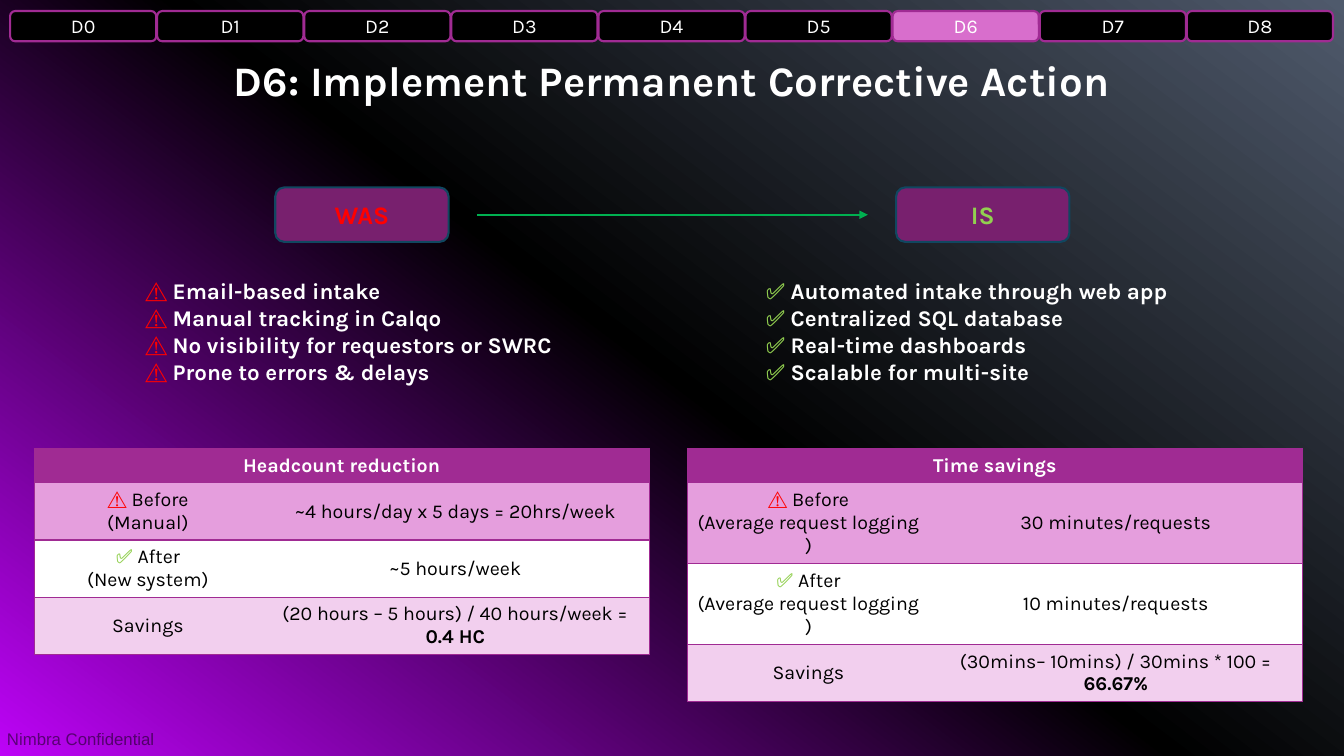
from copy import deepcopy

from lxml.etree import SubElement
from pptx import Presentation
from pptx.dml.color import RGBColor
from pptx.enum.shapes import MSO_CONNECTOR as Connector, MSO_SHAPE as Preset
from pptx.enum.text import MSO_ANCHOR as Anchor, PP_ALIGN as Align
from pptx.oxml.ns import qn
from pptx.util import Pt

COLORS = {
    "white": "FFFFFF", "black": "000000", "violet": "BD03F7", "slate": "4F5A6C",
    "purple": "A02B93", "orchid": "D86ECC", "plum": "78206E", "navy": "104760",
    "red": "FF0000", "lime": "92D050", "green": "00B050",
    "pink": "E59EDD", "blush": "F2CFEE",
}
WARNING = ("⚠️ ", "red", False)
CHECK = ("✅ ", "lime", False)
BREAK = ("\n", "black", False)


def color(name):
    return RGBColor.from_string(COLORS[name])


def plain(text):
    return (text, "black", False)


def write_runs(paragraph, runs, size, align=Align.LEFT, font="Karla"):
    paragraph.alignment = align
    for text, color_name, bold in runs:
        if text == "\n":
            line_break = SubElement(paragraph._p, qn("a:br"))
            SubElement(line_break, qn("a:rPr"), sz=str(size * 100))
            continue
        run = paragraph.add_run()
        run.text = text
        run.font.name = font
        run.font.size = Pt(size)
        run.font.bold = bold
        run.font.color.rgb = color(color_name)


def paint_background(slide):
    fill = slide.background.fill
    fill.gradient()
    fill.gradient_angle = 53
    stop_list = slide.element.find(".//" + qn("a:gsLst"))
    stop_list.append(deepcopy(stop_list[-1]))
    stops = zip(fill.gradient_stops, ("violet", "black", "slate"), (0, 0.5, 1))
    for stop, color_name, position in stops:
        stop.color.rgb = color(color_name)
        stop.position = position


def add_text_box(slide, left, top, width, height, margins=(7.2, 3.6)):
    text_frame = slide.shapes.add_textbox(Pt(left), Pt(top), Pt(width), Pt(height)).text_frame
    text_frame.word_wrap = True
    text_frame.margin_left = text_frame.margin_right = Pt(margins[0])
    text_frame.margin_top = text_frame.margin_bottom = Pt(margins[1])
    return text_frame


def add_title(slide, text):
    text_frame = add_text_box(slide, 0, 40.3, 960, 38.9)
    text_frame.vertical_anchor = Anchor.BOTTOM
    paragraph = text_frame.paragraphs[0]
    paragraph.line_spacing = 0.9
    write_runs(paragraph, [(text, "white", True)], 30, Align.CENTER)


def add_footer(slide, text):
    paragraph = add_text_box(slide, 5, 520.6, 106, 14.4, (0, 0)).paragraphs[0]
    write_runs(paragraph, [plain(text)], 12, font="Arial")
    footer_color = paragraph._p.find(".//" + qn("a:srgbClr"))
    SubElement(footer_color, qn("a:alpha"), val="50000")


def add_rounded_box(slide, bounds, fill, line, run, size):
    shape = slide.shapes.add_shape(Preset.ROUNDED_RECTANGLE, *map(Pt, bounds))
    shape.shadow.inherit = False
    shape.fill.solid()
    shape.fill.fore_color.rgb = color(fill)
    shape.line.color.rgb = color(line)
    shape.line.width = Pt(1.5)
    shape.text_frame.vertical_anchor = Anchor.MIDDLE
    write_runs(shape.text_frame.paragraphs[0], [run], size, Align.CENTER)


def add_step_tabs(slide, count, active):
    for step in range(count):
        fill = "orchid" if step == active else "black"
        bounds = (7.2 + 105.07 * step, 7.9, 104.4, 21.6)
        add_rounded_box(slide, bounds, fill, "purple", (f"D{step}", "white", False), 14)


def add_arrow(slide, start, end, y):
    arrow = slide.shapes.add_connector(Connector.STRAIGHT, Pt(start), Pt(y), Pt(end), Pt(y))
    arrow.line.color.rgb = color("green")
    arrow.line.width = Pt(1.5)
    SubElement(arrow.line._get_or_add_ln(), qn("a:tailEnd"), type="triangle")
    SubElement(arrow._element.spPr, qn("a:effectLst"))


def add_icon_list(slide, left, icon, items):
    text_frame = add_text_box(slide, left, 190.8, 324.7, 92.2, (7.2, 7.2))
    for index, item in enumerate(items):
        paragraph = text_frame.add_paragraph() if index else text_frame.paragraphs[0]
        write_runs(paragraph, [icon, (item, "white", True)], 16)


def set_borders(cell, hidden_side):
    properties = cell._tc.get_or_add_tcPr()
    for index, side in enumerate(("lnL", "lnR", "lnT", "lnB")):
        line = properties.makeelement(qn(f"a:{side}"), {"w": str(Pt(1))})
        if side == hidden_side:
            SubElement(line, qn("a:noFill"))
        else:
            solid = SubElement(line, qn("a:solidFill"))
            SubElement(solid, qn("a:srgbClr"), val=COLORS["purple"])
        properties.insert(index, line)


def fill_cell(cell, runs, fill, hidden_side=None):
    cell.fill.solid()
    cell.fill.fore_color.rgb = color(fill)
    cell.vertical_anchor = Anchor.MIDDLE
    write_runs(cell.text_frame.paragraphs[0], runs, 14, Align.CENTER)
    set_borders(cell, hidden_side)


def add_savings_table(slide, left, widths, heights, heading, rows):
    frame = slide.shapes.add_table(
        len(heights), 2, Pt(left), Pt(320.4), Pt(sum(widths)), Pt(sum(heights)))
    table = frame.table
    for column, width in zip(table.columns, widths):
        column.width = Pt(width)
    for row, height in zip(table.rows, heights):
        row.height = Pt(height)
    table.cell(0, 0).merge(table.cell(0, 1))
    fill_cell(table.cell(0, 0), [(heading, "white", True)], "purple")
    fills = ("pink", "white", "blush")
    for index, ((label, value), fill) in enumerate(zip(rows, fills), 1):
        fill_cell(table.cell(index, 0), label, fill, "lnR")
        fill_cell(table.cell(index, 1), value, fill, "lnL")


def main():
    presentation = Presentation()
    presentation.slide_width, presentation.slide_height = Pt(960), Pt(540)
    slide = presentation.slides.add_slide(presentation.slide_layouts[6])
    paint_background(slide)
    add_footer(slide, "Nimbra Confidential")
    add_step_tabs(slide, 9, 6)
    add_title(slide, "D6: Implement Permanent Corrective Action")
    for left, label, color_name in ((196.6, "WAS", "red"), (640.1, "IS", "lime")):
        bounds = (left, 133.9, 123.8, 38.9)
        add_rounded_box(slide, bounds, "plum", "navy", (label, color_name, True), 18)
    add_arrow(slide, 340.6, 619.9, 153.4)
    add_icon_list(slide, 96.5, WARNING, (
        "Email-based intake", "Manual tracking in Calqo",
        "No visibility for requestors or SWRC", "Prone to errors & delays"))
    add_icon_list(slide, 540, CHECK, (
        "Automated intake through web app", "Centralized SQL database",
        "Real-time dashboards", "Scalable for multi-site"))
    add_savings_table(slide, 24.5, (162.4, 276.8), (24.5, 40.7, 40.7, 40.7), "Headcount reduction", (
        ([WARNING, plain("Before"), BREAK, plain("(Manual)")],
         [plain("~4 hours/day x 5 days = 20hrs/week")]),
        ([CHECK, plain("After"), BREAK, plain("(New system)")],
         [plain("~5 hours/week")]),
        ([plain("Savings")],
         [plain("(20 hours – 5 hours) / 40 hours/week = "), ("0.4 HC", "black", True)])))
    request_logging = plain("(Average request logging )")
    add_savings_table(slide, 491, (173, 266.2), (24.5, 57.6, 57.6, 40.7), "Time savings", (
        ([WARNING, plain("Before"), BREAK, request_logging],
         [plain("30 minutes/requests")]),
        ([CHECK, plain("After"), BREAK, request_logging],
         [plain("10 minutes/requests")]),
        ([plain("Savings")],
         [plain("(30mins– 10mins) / 30mins * 100 = "), ("66.67%", "black", True)])))
    presentation.save("out.pptx")


if __name__ == "__main__":
    main()
